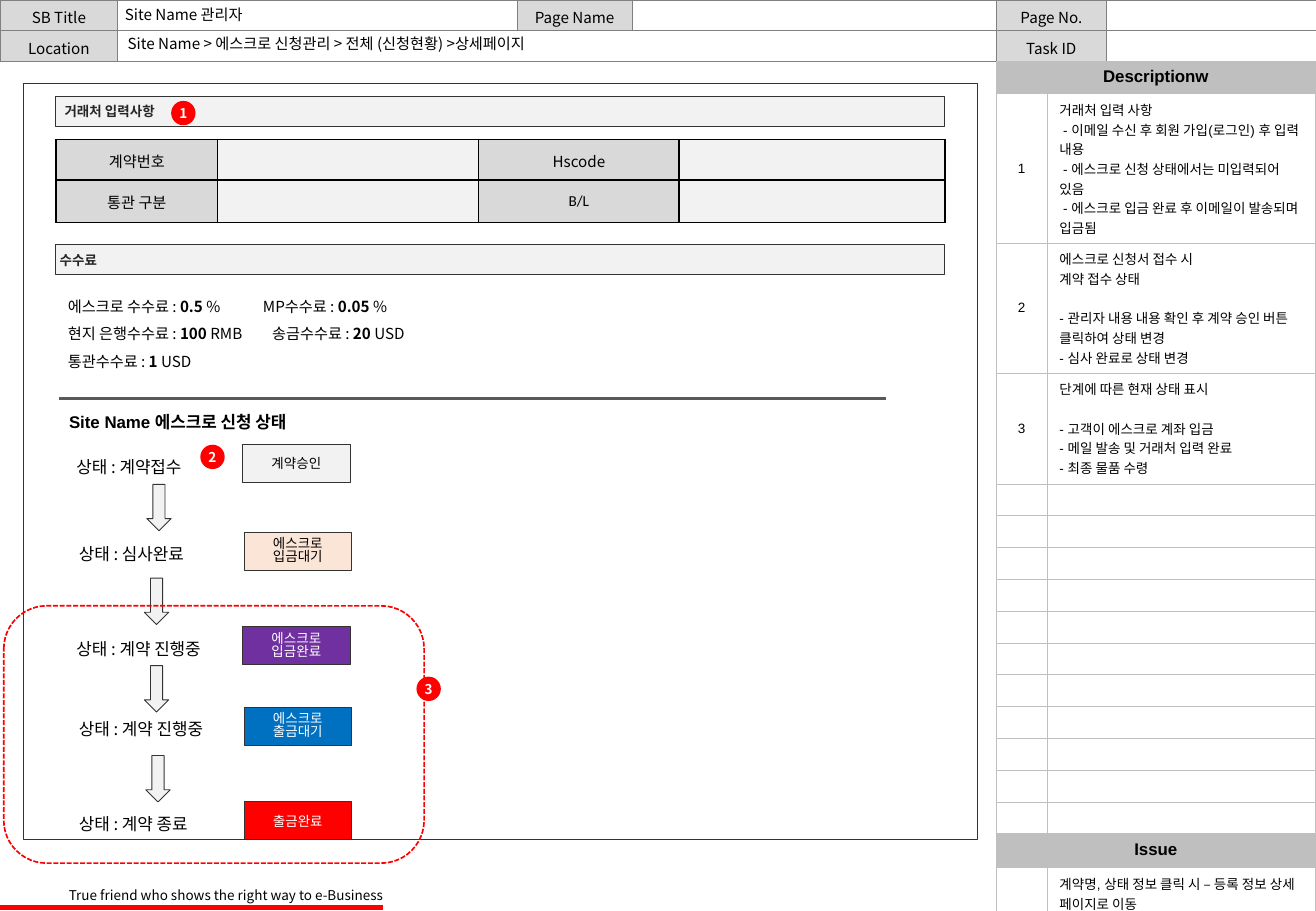
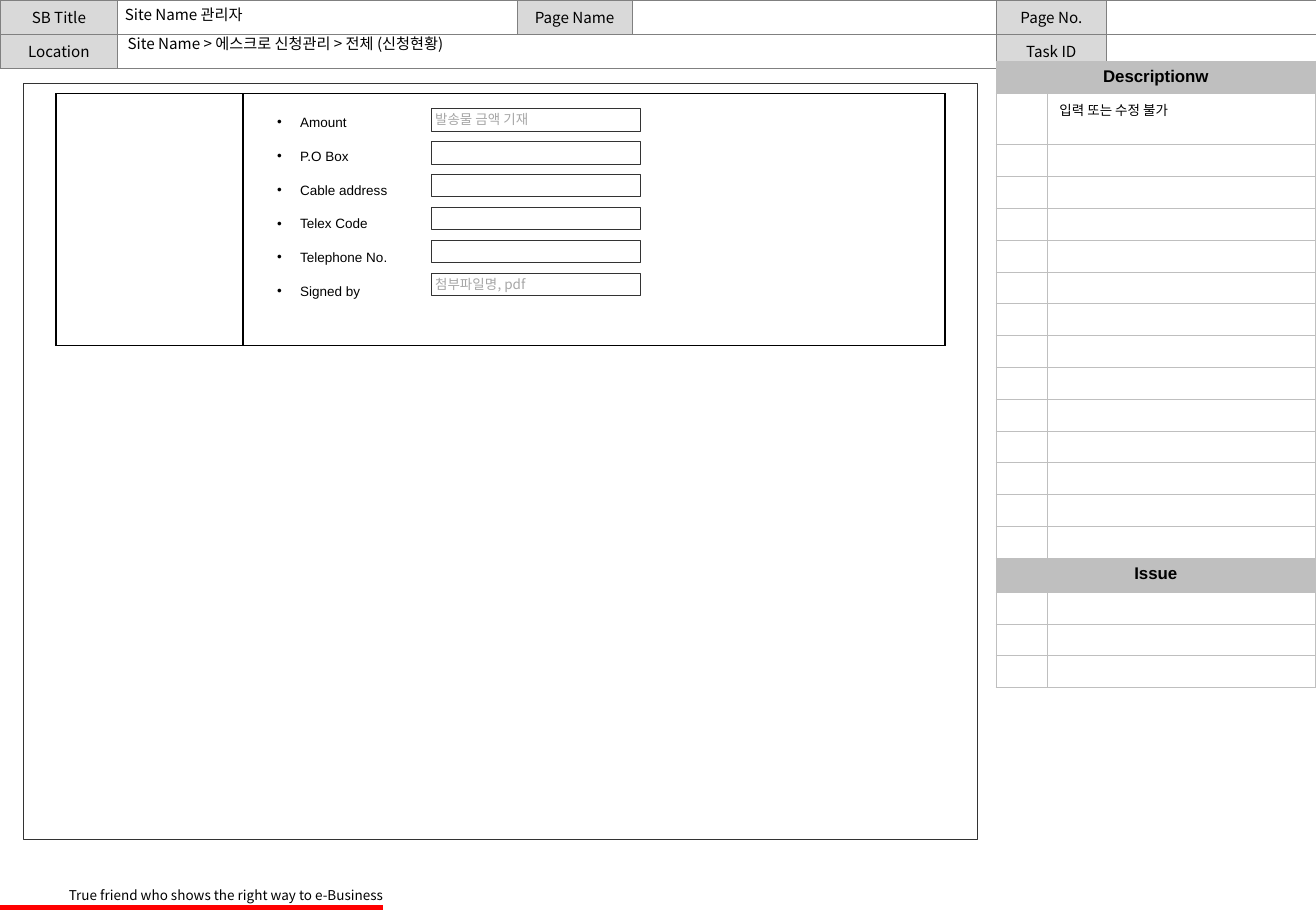
import dataclasses

import pptx
import pptx.dml.color
import pptx.enum.dml
import pptx.enum.shapes
import pptx.enum.text
import pptx.oxml
import pptx.oxml.ns
import pptx.util
from lxml import etree

Cm = pptx.util.Cm
Pt = pptx.util.Pt
KIND = pptx.enum.shapes.MSO_SHAPE
ALIGN = pptx.enum.text.PP_ALIGN
ANCHOR = pptx.enum.text.MSO_ANCHOR
qn = pptx.oxml.ns.qn


@dataclasses.dataclass(frozen=True)
class Theme:
    sans: str = "Noto Sans CJK KR"
    plain: str = "Arial"
    form: str = "Calibri"
    ink: str = "000000"
    white: str = "FFFFFF"
    soft: str = "262626"
    hint: str = "A6A6A6"
    edge: str = "333333"
    rule: str = "595959"
    head: str = "D9D9D9"
    band: str = "BFBFBF"
    pale: str = "F2F2F2"
    peach: str = "FBE5D6"
    grape: str = "7030A0"
    blue: str = "0070C0"
    red: str = "FF0000"
    grid: str = "808080"
    small: float = 8
    mid: float = 9
    big: float = 10
    row: float = 7.32 / 11


T = Theme()


def tint(code):
    return pptx.dml.color.RGBColor.from_string(code)


def put(frame, paras, size=T.small, face=T.sans, ink=T.ink, bold=False,
        align=ALIGN.LEFT, pitch=None):
    made = []
    for i, parts in enumerate(paras):
        para = frame.paragraphs[0] if i == 0 else frame.add_paragraph()
        para.alignment = align
        if pitch:
            para.line_spacing = pitch
        for text, strong in [(parts, bold)] if isinstance(parts, str) else parts:
            run = para.add_run()
            run.text = text
            run.font.size = Pt(size)
            run.font.bold = strong
            run.font.color.rgb = tint(ink)
            run.font.name = face
            etree.SubElement(run.font._element, qn("a:ea"), typeface=T.sans)
        made.append(para)
    return made


def inset(frame, left, top, right, low):
    frame.margin_left, frame.margin_top = Cm(left), Cm(top)
    frame.margin_right, frame.margin_bottom = Cm(right), Cm(low)


def label(slide, left, top, wide, high, paras, wrap=True, **style):
    box = slide.shapes.add_textbox(Cm(left), Cm(top), Cm(wide), Cm(high))
    box.text_frame.word_wrap = wrap
    return box.text_frame, put(box.text_frame, paras, **style)


def block(slide, kind, left, top, wide, high, fill=None, edge=T.edge,
          weight=0.5, paras=(), pad=0, **style):
    shape = slide.shapes.add_shape(kind, Cm(left), Cm(top), Cm(wide), Cm(high))
    shape.shadow.inherit = False
    if fill:
        shape.fill.solid()
        shape.fill.fore_color.rgb = tint(fill)
    else:
        shape.fill.background()
    if edge:
        shape.line.color.rgb = tint(edge)
        shape.line.width = Pt(weight)
    else:
        shape.line.fill.background()
    frame = shape.text_frame
    frame.vertical_anchor = ANCHOR.MIDDLE
    inset(frame, pad, 0.13, 0, 0.13)
    put(frame, paras, **style)
    return shape


def badge(slide, left, top, mark):
    block(slide, KIND.OVAL, left, top, 0.51, 0.51, T.red, None, paras=[mark],
          ink=T.white, bold=True, align=ALIGN.CENTER)


def line(slide, start, end, top, ink, weight):
    rule = slide.shapes.add_connector(pptx.enum.shapes.MSO_CONNECTOR.STRAIGHT,
                                      Cm(start), Cm(top), Cm(end), Cm(top))
    rule.line.color.rgb = tint(ink)
    rule.line.width = Pt(weight)
    etree.SubElement(rule._element.spPr, qn("a:effectLst"))


def paint(cell, code):
    cell.fill.solid()
    cell.fill.fore_color.rgb = tint(code)


def border(cell, ink, weight):
    props = cell._tc.get_or_add_tcPr()
    for side in ("a:lnL", "a:lnR", "a:lnT", "a:lnB"):
        edge = etree.SubElement(props, qn(side), w=str(Pt(weight)))
        fill = etree.SubElement(edge, qn("a:solidFill"))
        etree.SubElement(fill, qn("a:srgbClr"), val=ink)


def grid(slide, left, top, cols, rows, ink, weight):
    table = slide.shapes.add_table(len(rows), len(cols), Cm(left), Cm(top),
                                   Cm(sum(cols)), Cm(sum(rows))).table
    table.first_row = table.horz_banding = False
    for col, wide in zip(table.columns, cols):
        col.width = Cm(wide)
    for row, high in zip(table.rows, rows):
        row.height = Cm(high)
    for cell in table.iter_cells():
        border(cell, ink, weight)
        cell.fill.background()
        para = cell.text_frame.paragraphs[0]
        etree.SubElement(para._p, qn("a:endParaRPr"), sz=str(int(T.small * 100)))
    return table


def write(cell, paras, fill=None, **style):
    if fill:
        paint(cell, fill)
    return put(cell.text_frame, paras, **style)


def header(slide, high, place):
    table = grid(slide, 0, 0, [2.46, 8.36, 2.39, 7.62, 2.31, 4.38],
                 [high, high], T.grid, 0.25)
    table.cell(1, 1).merge(table.cell(1, 3))
    names = {(0, 0): "SB Title", (0, 2): "Page Name", (0, 4): "Page No.",
             (1, 0): "Location", (1, 4): "Task ID"}
    for spot, name in names.items():
        cell = table.cell(*spot)
        cell.margin_bottom = 0
        write(cell, [name], T.head, size=T.mid, align=ALIGN.CENTER)

    title = slide.shapes.title
    title.left, title.top, title.width, title.height = Cm(2.51), Cm(0.03), Cm(8.26), Cm(0.61)
    put(title.text_frame, ["Site Name 관리자"], size=T.mid, pitch=0.9)
    slide.shapes.element.append(title.element)
    spot, _ = label(slide, 2.57, 0.63, 9.8, 0.61, [place], size=T.mid, pitch=0.9)
    for frame in (title.text_frame, spot):
        frame.auto_size = pptx.enum.text.MSO_AUTO_SIZE.NONE
        frame.vertical_anchor = ANCHOR.MIDDLE
        inset(frame, 0.1, 0.1, 0.1, 0.1)


def footer(slide):
    line(slide, 0, 8, 18.97, T.red, 3)
    label(slide, 1.19, 18.42, 7.32, 0.61,
          ["True friend who shows the right way to e-Business"], wrap=False)


def notes(slide, items, blanks, issues):
    rows = ([0.67] + [item[0] for item in items] + [T.row] * blanks
            + [0.71] + [issue[0] for issue in issues])
    table = grid(slide, 20.83, 1.28, [1.07, 5.61], rows, T.band, 0.5)
    turn = 1 + len(items) + blanks
    for index, name in ((0, "Descriptionw"), (turn, "Issue")):
        table.cell(index, 0).merge(table.cell(index, 1))
        write(table.cell(index, 0), [name], T.band, size=T.big, face=T.plain,
              bold=True, align=ALIGN.CENTER)
    for start, group in ((1, items), (turn + 1, issues)):
        for index, (_, mark, paras, gap) in enumerate(group, start):
            if mark:
                cell = table.cell(index, 0)
                cell.vertical_anchor = ANCHOR.MIDDLE
                write(cell, [mark], face=T.plain, align=ALIGN.CENTER)
            made = write(table.cell(index, 1), paras, face=T.plain)
            if gap:
                made[gap].space_before = Pt(11.7)


def page(deck, layout, high, place):
    slide = deck.slides.add_slide(deck.slide_layouts[layout])
    header(slide, high, place)
    footer(slide)
    block(slide, KIND.RECTANGLE, 0.5, 1.75, 19.94, 15.8, T.white)
    return slide


def bar(slide, top, name, pad):
    block(slide, KIND.RECTANGLE, 1.17, top, 18.59, 0.64, T.pale, paras=[name],
          pad=pad, ink=T.soft, bold=True)


def deal(slide):
    table = grid(slide, 1.17, 2.92, [3.38, 5.46, 4.19, 5.56], [0.84, 0.89], T.ink, 1)
    names = [("계약번호", "Hscode"), ("통관 구분", "B/L")]
    for row, pair in enumerate(names):
        for col, name in enumerate(pair):
            cell = table.cell(row, 2 * col)
            cell.vertical_anchor = ANCHOR.MIDDLE
            inset(cell, 0.03, 0.03, 0.03, 0)
            write(cell, [name], T.head, size=T.mid,
                  face=T.form if row else T.sans, align=ALIGN.CENTER)
            paint(table.cell(row, 2 * col + 1), T.pale)


def fees(slide):
    lines = [
        [("에스크로 수수료 : ", False), ("0.5 ", True), ("%\tMP수수료 : ", False),
         ("0.05 ", True), ("%", False)],
        [("현지 은행수수료 : ", False), ("100 ", True), ("RMB\t송금수수료 : ", False),
         ("20 ", True), ("USD", False)],
        [("통관수수료 : ", False), ("1 ", True), ("USD", False)],
    ]
    _, made = label(slide, 1.17, 5.89, 16.51, 1.9, lines, size=T.mid, pitch=Pt(16.3))
    for para, stop in zip(made, (4.08, 4.27)):
        tabs = etree.SubElement(para._p.get_or_add_pPr(), qn("a:tabLst"))
        etree.SubElement(tabs, qn("a:tab"), pos=str(Cm(stop)), algn="l")


def states(slide):
    label(slide, 0.97, 8.48, 5.49, 0.69, ["Site Name 에스크로 신청 상태"], wrap=False,
          size=T.big, face=T.plain, bold=True, align=ALIGN.CENTER)
    steps = [
        (1.35, 9.42, "계약접수", 5.08, T.pale, T.ink, ["계약승인"]),
        (1.4, 11.25, "심사완료", 5.11, T.peach, T.ink, ["에스크로", "입금대기"]),
        (1.35, 13.23, "계약 진행중", 5.08, T.grape, T.white, ["에스크로", "입금완료"]),
        (1.4, 14.91, "계약 진행중", 5.11, T.blue, T.white, ["에스크로", "출금대기"]),
        (1.4, 16.89, "계약 종료", 5.11, T.red, T.white, ["출금완료"]),
    ]
    for left, top, state, side, fill, ink, paras in steps:
        label(slide, left, top, 3.71, 0.69, ["상태 : " + state], size=T.big)
        block(slide, KIND.RECTANGLE, side, top - 0.12, 2.24, 0.79, fill, paras=paras,
              ink=ink, align=ALIGN.CENTER, pitch=0.82 if len(paras) > 1 else None)
    for left, top in ((3.07, 10.13), (3.02, 12.09), (3.02, 13.92), (3.05, 15.8)):
        block(slide, KIND.DOWN_ARROW, left, top, 0.51, 0.97, T.pale)
    ring = block(slide, KIND.ROUNDED_RECTANGLE, 0.08, 12.67, 8.79, 5.38,
                 edge=T.red, weight=1)
    ring.line.dash_style = pptx.enum.dml.MSO_LINE.SQUARE_DOT


def status(deck):
    slide = page(deck, 5, 0.64,
                 "Site Name > 에스크로 신청관리 > 전체 (신청현황) >상세페이지")
    notes(slide, [
        (3.12, "1", ["거래처 입력 사항",
                     " - 이메일 수신 후 회원 가입(로그인) 후 입력 내용",
                     " - 에스크로 신청 상태에서는 미입력되어 있음",
                     " - 에스크로 입금 완료 후 이메일이 발송되며 입금됨"], None),
        (2.72, "2", ["에스크로 신청서 접수 시", "계약 접수 상태",
                     "- 관리자 내용 내용 확인 후 계약 승인 버튼 클릭하여 상태 변경",
                     "- 심사 완료로 상태 변경"], 2),
        (2.32, "3", ["단계에 따른 현재 상태 표시", "- 고객이 에스크로 계좌 입금",
                     "- 메일 발송 및 거래처 입력 완료", "- 최종 물품 수령"], 1),
    ], 11, [(0.9, "", ["계약명, 상태 정보 클릭 시 – 등록 정보 상세 페이지로 이동"], None)])
    deal(slide)
    bar(slide, 2.01, "거래처 입력사항", 0.18)
    bar(slide, 5.11, "수수료", 0.08)
    fees(slide)
    line(slide, 1.24, 18.52, 8.33, T.rule, 1.5)
    states(slide)
    for left, top, mark in ((3.58, 2.11, "1"), (4.19, 9.3, "2"), (8.71, 14.15, "3")):
        badge(slide, left, top, mark)


def entry(deck):
    slide = page(deck, 1, 0.71, "Site Name > 에스크로 신청관리 > 전체 (신청현황)")
    notes(slide, [(1.07, "", ["입력 또는 수정 불가"], None)], 13,
          [(T.row, "", [], None)] * 3)
    table = grid(slide, 1.17, 1.96, [3.91, 14.68], [5.26], T.ink, 1)
    for cell in table.iter_cells():
        paint(cell, T.white)

    hints = ["발송물 금액 기재", "", "", "", "", "첨부파일명, pdf"]
    for index, hint in enumerate(hints):
        block(slide, KIND.RECTANGLE, 9.02, 2.26 + 0.69 * index, 4.37, 0.48,
              paras=[hint] if hint else [], pad=0.08, ink=T.hint)

    body = slide.placeholders[1]
    body.left, body.top, body.width, body.height = Cm(5.54), Cm(2.26), Cm(3.3), Cm(4.2)
    body.text_frame.auto_size = pptx.enum.text.MSO_AUTO_SIZE.NONE
    names = ["Amount", "P.O Box", "Cable address", "Telex Code", "Telephone No.",
             "Signed by"]
    for para in put(body.text_frame, names, face=T.plain):
        props = para._p.get_or_add_pPr()
        props.set("marL", str(Cm(0.48)))
        props.set("indent", str(-Cm(0.48)))
        etree.SubElement(props, qn("a:buFont"), typeface=T.plain)
        etree.SubElement(props, qn("a:buChar"), char="•")
        para.space_before = Pt(0)
        para.space_after = Pt(10.4)
    slide.shapes.element.append(body.element)


def main():
    deck = pptx.Presentation()
    deck.slide_width, deck.slide_height = Cm(27.52), Cm(19.05)
    status(deck)
    entry(deck)
    deck.save("out.pptx")


if __name__ == "__main__":
    main()
